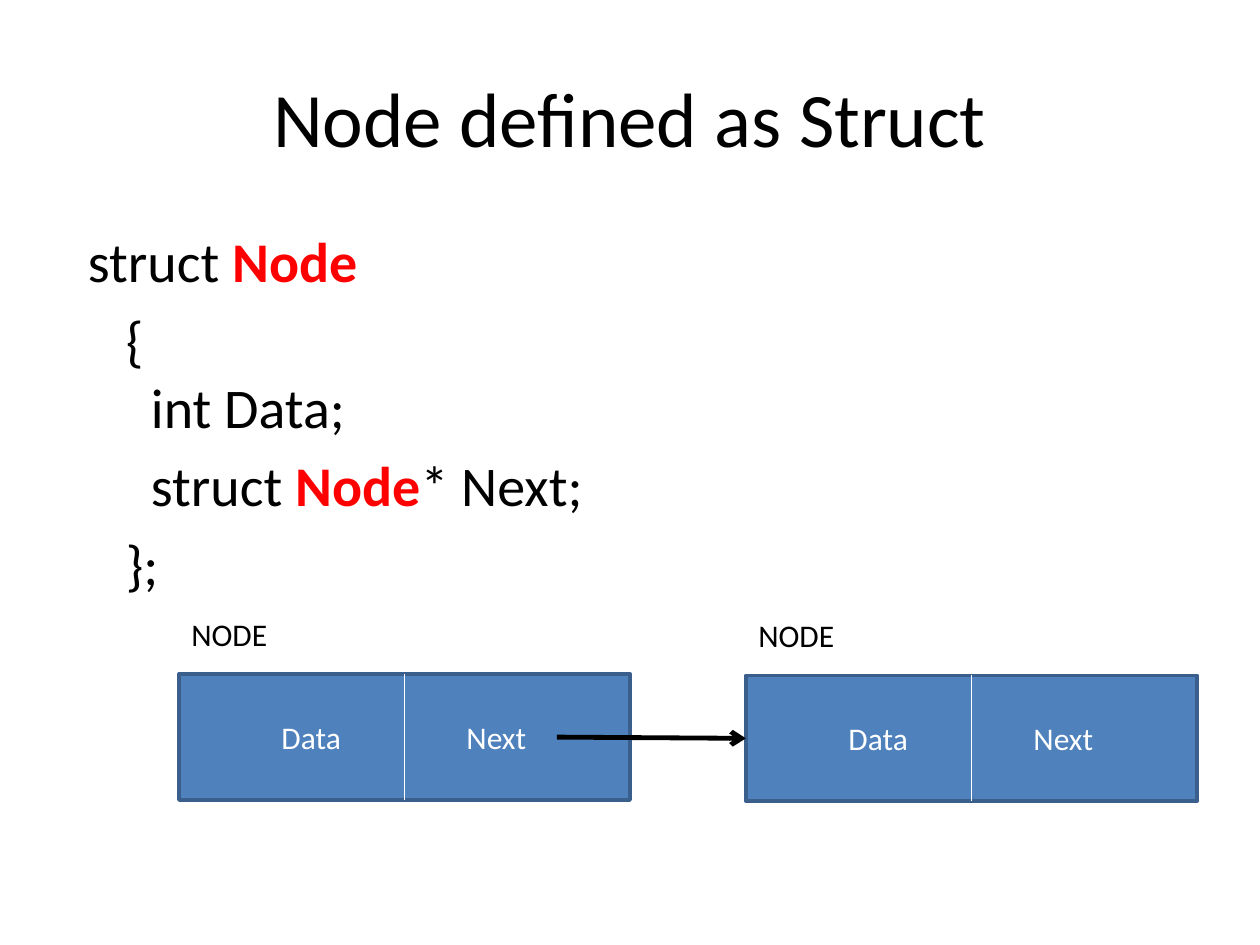
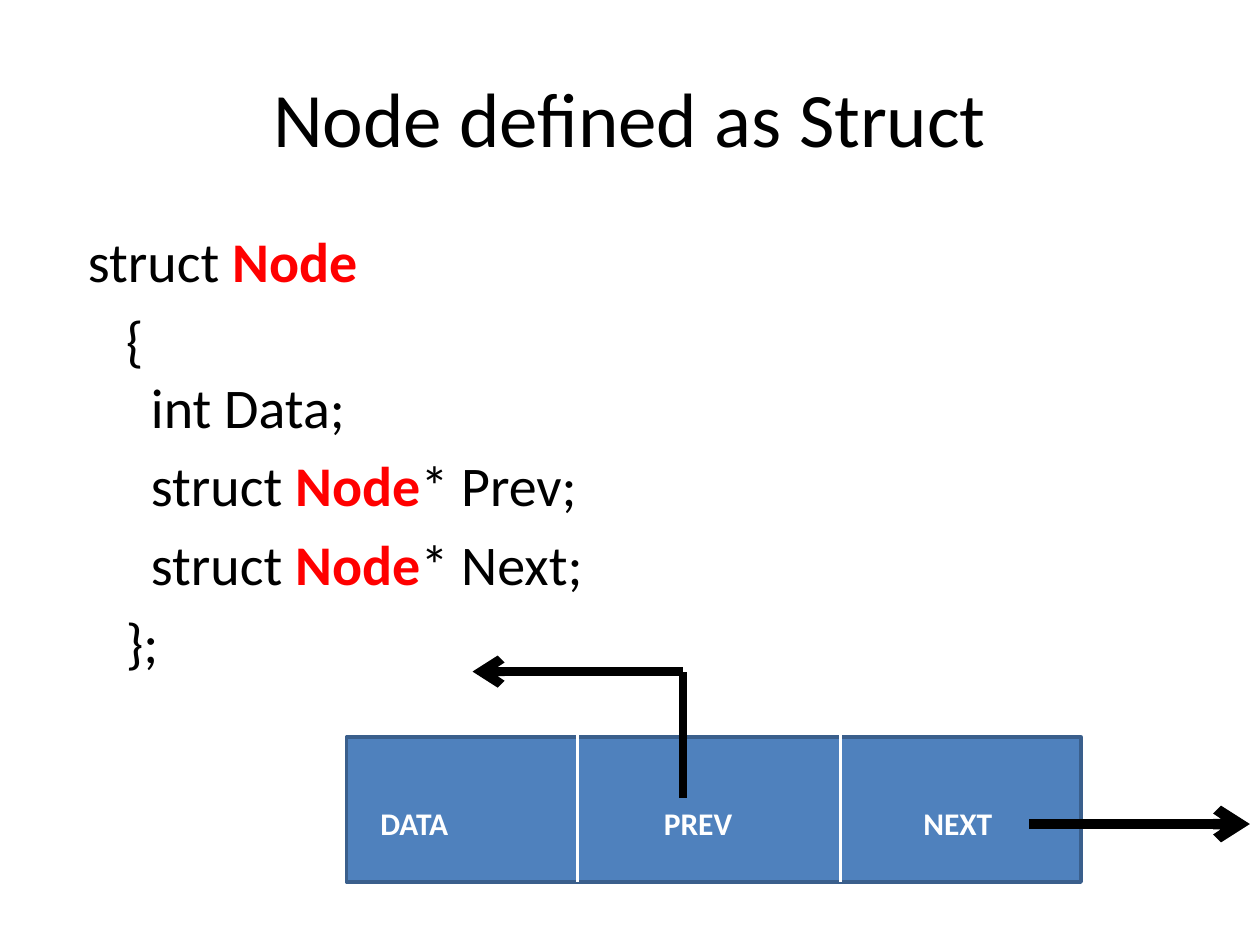
from dataclasses import dataclass
from lxml import etree
from pptx import Presentation
from pptx.dml.color import RGBColor
from pptx.enum.shapes import MSO_CONNECTOR, MSO_SHAPE
from pptx.enum.text import MSO_ANCHOR, PP_ALIGN
from pptx.oxml.ns import qn
from pptx.util import Inches, Pt

LEFT, CENTER = PP_ALIGN.LEFT, PP_ALIGN.CENTER
TOP, MIDDLE = MSO_ANCHOR.TOP, MSO_ANCHOR.MIDDLE
RECT, STRAIGHT = MSO_SHAPE.RECTANGLE, MSO_CONNECTOR.STRAIGHT


@dataclass(frozen=True)
class Theme:
    font: str = "Calibri"
    ink: str = "000000"
    paper: str = "FFFFFF"
    mark: str = "FF0000"
    fill: str = "4F81BD"
    edge: str = "3A5F8C"
    title: int = 44
    code: int = 32
    label: int = 18


def color(value):
    return RGBColor.from_string(value)


def write(par, text, font, size, ink, bold=False, align=LEFT):
    par.alignment = align
    run = par.add_run()
    run.text = text
    run.font.name = font
    run.font.size = Pt(size)
    run.font.bold = bold
    run.font.color.rgb = color(ink)


class Deck:
    def __init__(self, theme):
        self.theme = theme
        self.file = Presentation()
        self.file.slide_width = Inches(10)
        self.file.slide_height = Inches(7.5)
        self.slide = None

    def page(self, title):
        self.slide = self.file.slides.add_slide(self.file.slide_layouts[6])
        self.slide.background.fill.solid()
        self.slide.background.fill.fore_color.rgb = color(self.theme.paper)
        self.label(title, 0.5, 0.3, 9, 1.25, size=self.theme.title,
                   align=CENTER, anchor=MIDDLE)

    def frame(self, x, y, w, h, anchor=TOP):
        box = self.slide.shapes.add_textbox(
            Inches(x), Inches(y), Inches(w), Inches(h))
        box.text_frame.word_wrap = True
        box.text_frame.vertical_anchor = anchor
        return box.text_frame

    def label(self, text, x, y, w, h, anchor=TOP, **form):
        style = {"font": self.theme.font, "size": self.theme.label,
                 "ink": self.theme.ink} | form
        write(self.frame(x, y, w, h, anchor).paragraphs[0], text, **style)

    def code(self, lines):
        theme = self.theme
        frame = self.frame(0.5, 1.75, 9.33, 4.95)
        for row, (indent, gap, text) in enumerate(lines):
            par = frame.add_paragraph() if row else frame.paragraphs[0]
            par.space_before = Pt(gap)
            par._p.get_or_add_pPr().set("marL", str(Inches(indent)))
            head, name, tail = text.partition("Node")
            for part in filter(None, (head, name, tail)):
                hit = part == name
                write(par, part, theme.font, theme.code,
                      theme.mark if hit else theme.ink, bold=hit)

    def block(self, x, y, w, h):
        box = self.slide.shapes.add_shape(
            RECT, Inches(x), Inches(y), Inches(w), Inches(h))
        box.shadow.inherit = False
        box.fill.solid()
        box.fill.fore_color.rgb = color(self.theme.fill)
        box.line.color.rgb = color(self.theme.edge)
        box.line.width = Pt(2)

    def line(self, start, end, width, ink, arrow=False):
        link = self.slide.shapes.add_connector(
            STRAIGHT, *map(Inches, start + end))
        link.line.color.rgb = color(ink)
        link.line.width = Pt(width)
        if arrow:
            tip = etree.SubElement(link.line._get_or_add_ln(), qn("a:tailEnd"))
            tip.set("type", "arrow")
        etree.SubElement(link._element.spPr, qn("a:effectLst"))

    def split(self, x, top, end, width):
        self.line((x, top), (x, end), width, self.theme.paper)

    def node(self, x, y):
        self.block(x, y, 3.58, 1)
        self.split(x + 1.79, y, y + 1, 0.75)
        for text, mid in (("Data", 1.05), ("Next", 2.52)):
            self.label(text, x + mid - 0.5, y, 1, 1, ink=self.theme.paper,
                       align=CENTER, anchor=MIDDLE)
        self.label("NODE", x, y - 0.52, 0.83, 0.4)


theme = Theme()
deck = Deck(theme)
TITLE = "Node defined as Struct"
GAP = 6.4
OPEN = [(0.1, GAP, "struct Node"), (0.4, GAP, "{"), (0.6, 0, "int Data;")]
PREV = [(0.6, GAP, "struct Node* Prev;")]
CLOSE = [(0.6, GAP, "struct Node* Next;"), (0.4, GAP, "};")]

deck.page(TITLE)
deck.code(OPEN + CLOSE)
deck.node(1.42, 5.35)
deck.node(5.92, 5.36)
deck.line((4.42, 5.85), (5.92, 5.86), 2.75, theme.ink, arrow=True)

deck.page(TITLE)
deck.code(OPEN + PREV + CLOSE)
deck.block(2.75, 5.85, 5.83, 1.15)
for x in (4.58, 6.67):
    deck.split(x, 5.83, 7, 1.75)
for text, x in (("DATA", 2.92), ("PREV", 5.17), ("NEXT", 7.23)):
    deck.label(text, x, 6.33, 1.33, 0.42, ink=theme.paper, bold=True)
deck.line((8.17, 6.54), (9.92, 6.54), 6, theme.ink, arrow=True)
deck.line((5.42, 6.33), (5.42, 5.33), 5, theme.ink)
deck.line((5.42, 5.33), (3.75, 5.33), 5.25, theme.ink, arrow=True)

deck.file.save("out.pptx")
